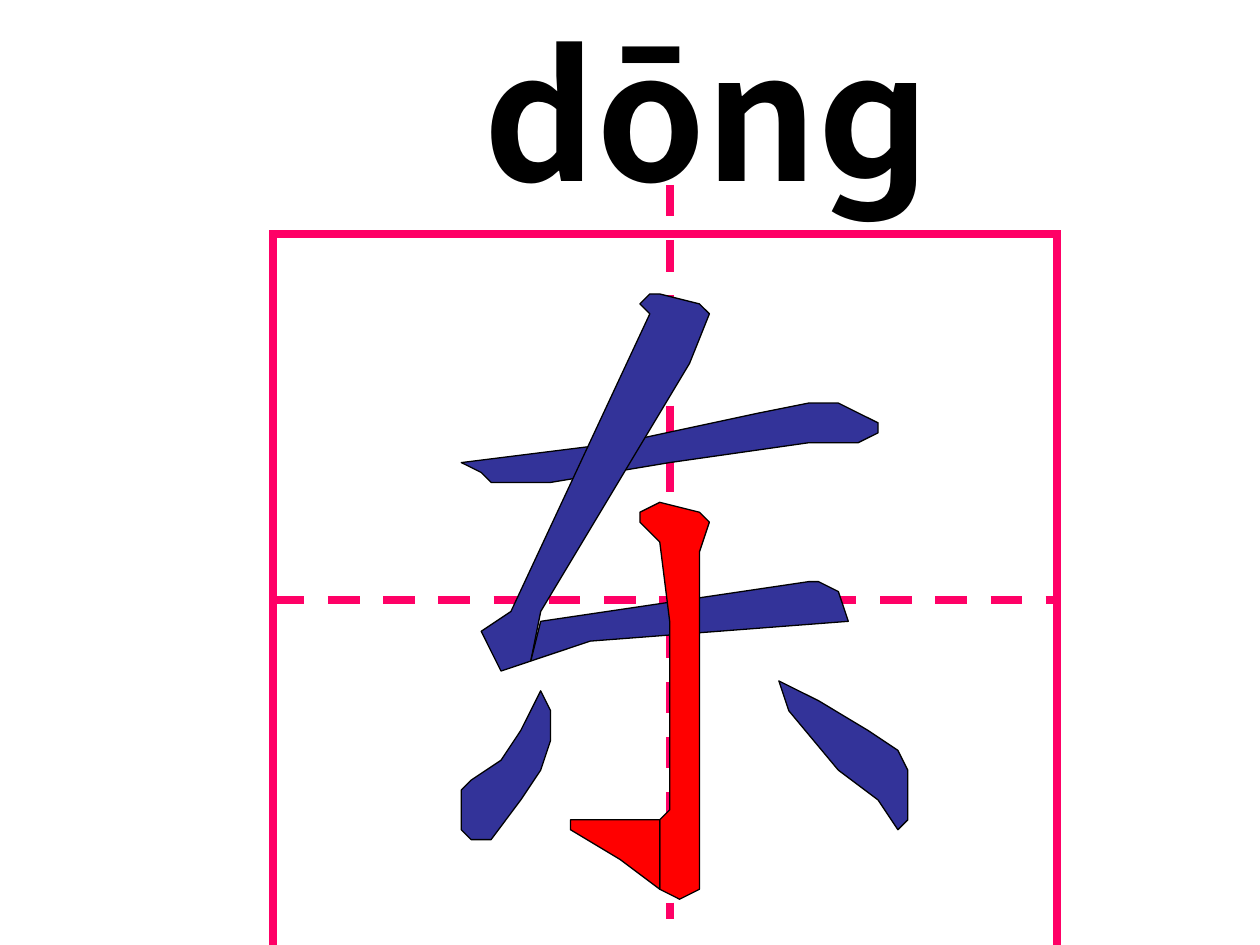
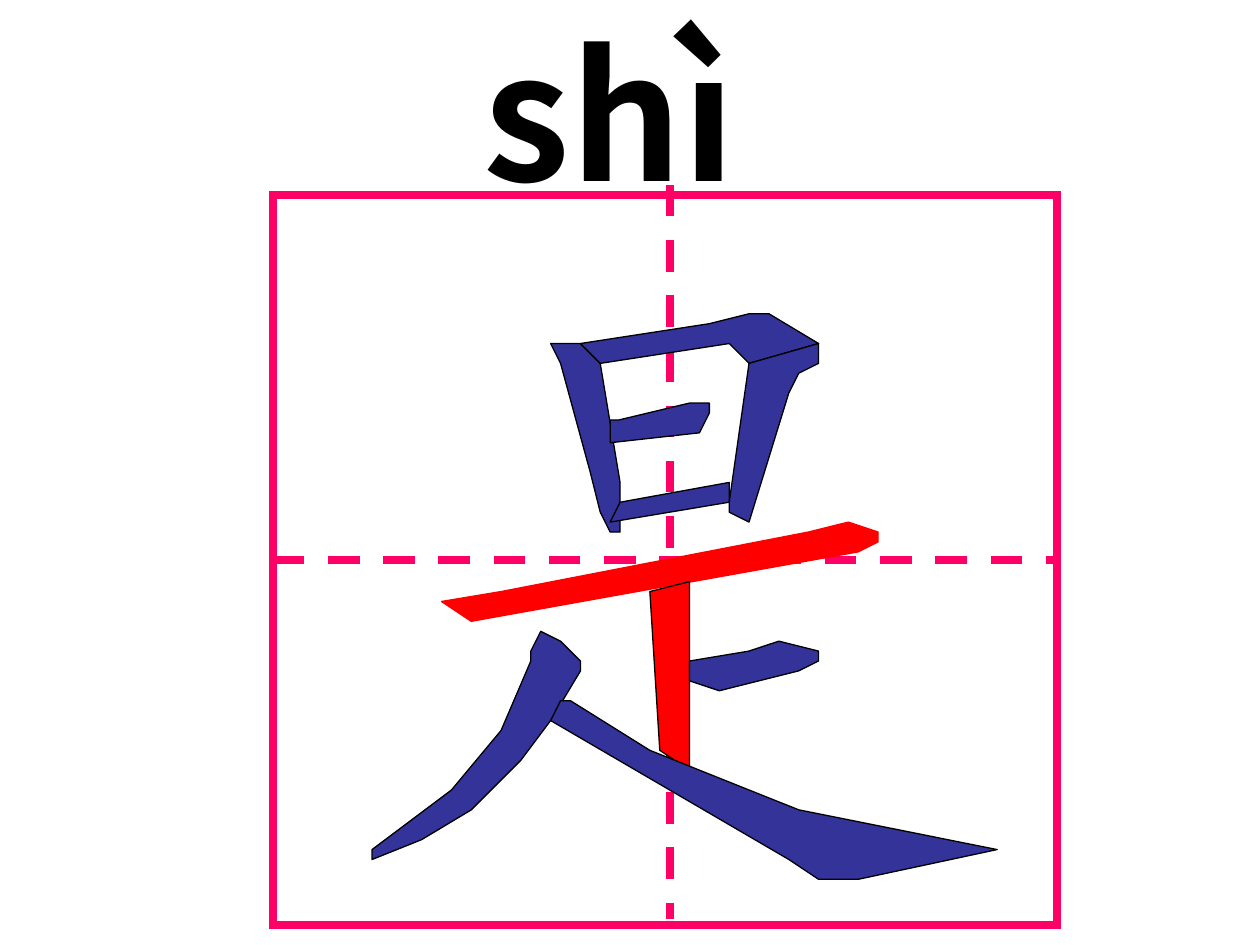
from collections import namedtuple

from lxml.etree import SubElement
from pptx import Presentation
from pptx.dml.color import RGBColor
from pptx.enum.dml import MSO_LINE
from pptx.enum.shapes import MSO_CONNECTOR, MSO_SHAPE
from pptx.enum.text import MSO_AUTO_SIZE
from pptx.oxml.ns import qn
from pptx.util import Pt

COLOURS = {"ink": "000000", "guide": "FF0066", "written": "333399", "current": "FF0000"}
FONT = "Noto Sans CJK SC"
GUIDE_WIDTH, THIN_WIDTH = 4.5, 0.75

# Boxes and the drawing grid, in points
Box = namedtuple("Box", "left top width height")
UNIT = 5.67
COLUMNS, ROWS, MIDDLE_COLUMN = 79, 74, 40
TITLE_BOX = Box(269.3, 0, 323.3, 127.4)
GRID_BOX = Box(155.9, 105.6, COLUMNS * UNIT, ROWS * UNIT)
FRAME_HEIGHT = 417.6
SPECK = (-4, 38)

# Strokes: (colour, outline in grid columns and rows), from back to front
DONG_STROKES = [
    # Horizontal
    ("written", [(19, 28), (35, 26), (49, 23), (54, 22), (57, 22), (59, 23), (61, 24), (61, 25),
                 (59, 26), (54, 26), (40, 28), (28, 30), (22, 30), (21, 29)]),
    # Left dot
    ("written", [(27, 51), (25, 55), (23, 58), (20, 60), (19, 61), (19, 65), (20, 66), (22, 66),
                 (25, 62), (27, 59), (28, 56), (28, 53)]),
    # Right dot
    ("written", [(51, 50), (53, 51), (55, 52), (60, 55), (63, 57), (64, 59), (64, 64), (63, 65),
                 (61, 62), (57, 59), (52, 53)]),
    # Falling stroke and its turn
    ("written", [(38, 11), (37, 12), (38, 13), (24, 43), (21, 45), (23, 49), (26, 48), (27, 43),
                 (42, 18), (44, 13), (43, 12), (39, 11)]),
    ("written", [(27, 44), (54, 40), (55, 40), (57, 41), (58, 44), (32, 46), (26, 48)]),
    # Vertical and its hook
    ("current", [(39, 32), (37, 33), (37, 34), (39, 36), (40, 44), (40, 63), (39, 64), (39, 71),
                 (41, 72), (43, 71), (43, 37), (44, 34), (43, 33)]),
    ("current", [(39, 64), (30, 64), (30, 65), (35, 68), (39, 71)]),
]
SHI_STROKES = [
    # Upper box: left, top, right, middle, bottom
    ("written", [(28, 16), (29, 18), (32, 29), (33, 33), (34, 35), (35, 35), (35, 30), (33, 18),
                 (31, 16)]),
    ("written", [(31, 16), (44, 14), (48, 13), (50, 13), (55, 16), (48, 18), (46, 16), (33, 18)]),
    ("written", [(48, 18), (46, 32), (46, 33), (48, 34), (52, 21), (53, 19), (55, 18), (55, 16)]),
    ("written", [(34, 23.7), (34.9, 23.7), (42, 22), (44, 22), (44, 23), (43, 25), (34, 26)]),
    ("written", [(35, 32), (46, 30), (46, 32), (34, 34)]),
    # Long horizontal and short vertical
    ("current", [(17, 42), (20, 44), (59, 37), (61, 36), (61, 35), (58, 34), (54, 35), (23, 41)]),
    ("current", [(38, 41), (39, 57), (42, 59), (42, 40)]),
    # Short horizontal, left fall, right fall
    ("written", [(42, 48), (48, 47), (51, 46), (55, 47), (55, 48), (53, 49), (45, 51), (42, 50)]),
    ("written", [(27, 45), (29, 46), (31, 48), (31, 49), (28, 54), (25, 58), (20, 63), (15, 66),
                 (10, 68), (10, 67), (18, 61), (23, 55), (26, 48), (26, 47)]),
    ("written", [(30, 52), (38, 57), (53, 63), (73, 67), (59, 70), (55, 70), (52, 68), (28, 54),
                 (29, 52)]),
]


def colour(name):
    return RGBColor.from_string(COLOURS[name])


def set_line(shape, name, width):
    shape.line.color.rgb = colour(name)
    shape.line.width = Pt(width)


def grid_point(box, column, row):
    return Pt(box.left + column * UNIT), Pt(box.top + row * UNIT)


def add_line(shapes, start, end, name, width, dash=None):
    line = shapes.add_connector(MSO_CONNECTOR.STRAIGHT, *start, *end)
    set_line(line, name, width)
    line.line.dash_style = dash
    SubElement(line._element.spPr, qn("a:effectLst"))
    return line


def write(frame, text, *, size, font=FONT, name="ink", bold=False):
    para = frame.paragraphs[0]
    span = para.add_run()
    span.text = text
    span.font.name = font
    span.font.size = Pt(size)
    span.font.bold = bold
    span.font.color.rgb = colour(name)


def add_title(page, box, text):
    frame = page.shapes.add_textbox(*map(Pt, box)).text_frame
    frame.word_wrap = True
    frame.auto_size = MSO_AUTO_SIZE.SHAPE_TO_FIT_TEXT
    write(frame, text, size=100, bold=True)


def add_practice_grid(page, box, frame_row):
    # Square with its horizontal guide
    group = page.shapes.add_group_shape()
    corner = grid_point(box, 0, frame_row)
    square = group.shapes.add_shape(MSO_SHAPE.RECTANGLE, *corner, Pt(box.width), Pt(FRAME_HEIGHT))
    square.shadow.inherit = False
    square.fill.background()
    set_line(square, "guide", GUIDE_WIDTH)
    SubElement(square.line._get_or_add_ln(), qn("a:miter"), lim="800000")
    guide_row = frame_row + ROWS / 2
    across = add_line(group.shapes, grid_point(box, 0, guide_row),
                      grid_point(box, COLUMNS, guide_row), "guide", GUIDE_WIDTH, MSO_LINE.DASH)
    across.begin_connect(square, 1)
    across.end_connect(square, 3)
    # Vertical guide
    add_line(page.shapes, grid_point(box, MIDDLE_COLUMN, 0),
             grid_point(box, MIDDLE_COLUMN, ROWS), "guide", GUIDE_WIDTH, MSO_LINE.DASH)


def add_strokes(page, box, strokes, unlined):
    for index, (name, outline) in enumerate(strokes):
        points = [grid_point(box, *point) for point in outline]
        builder = page.shapes.build_freeform(*points[0])
        builder.add_line_segments(points[1:], close=True)
        stroke = builder.convert_to_shape()
        stroke.shadow.inherit = False
        stroke.fill.solid()
        stroke.fill.fore_color.rgb = colour(name)
        set_line(stroke, name if index in unlined else "ink", THIN_WIDTH)


def add_character_page(deck, pinyin, strokes, frame_row, unlined=()):
    page = deck.slides.add_slide(deck.slide_layouts[6])
    speck = grid_point(GRID_BOX, *SPECK)
    add_line(page.shapes, speck, speck, "ink", THIN_WIDTH)
    add_title(page, TITLE_BOX, pinyin)
    add_practice_grid(page, GRID_BOX, frame_row)
    add_strokes(page, GRID_BOX, strokes, unlined)


def main():
    deck = Presentation()
    deck.slide_width, deck.slide_height = Pt(720), Pt(540)
    add_character_page(deck, "dōnɡ", DONG_STROKES, frame_row=5)
    add_character_page(deck, "shì", SHI_STROKES, frame_row=1, unlined=(5,))
    deck.save("out.pptx")


if __name__ == "__main__":
    main()
